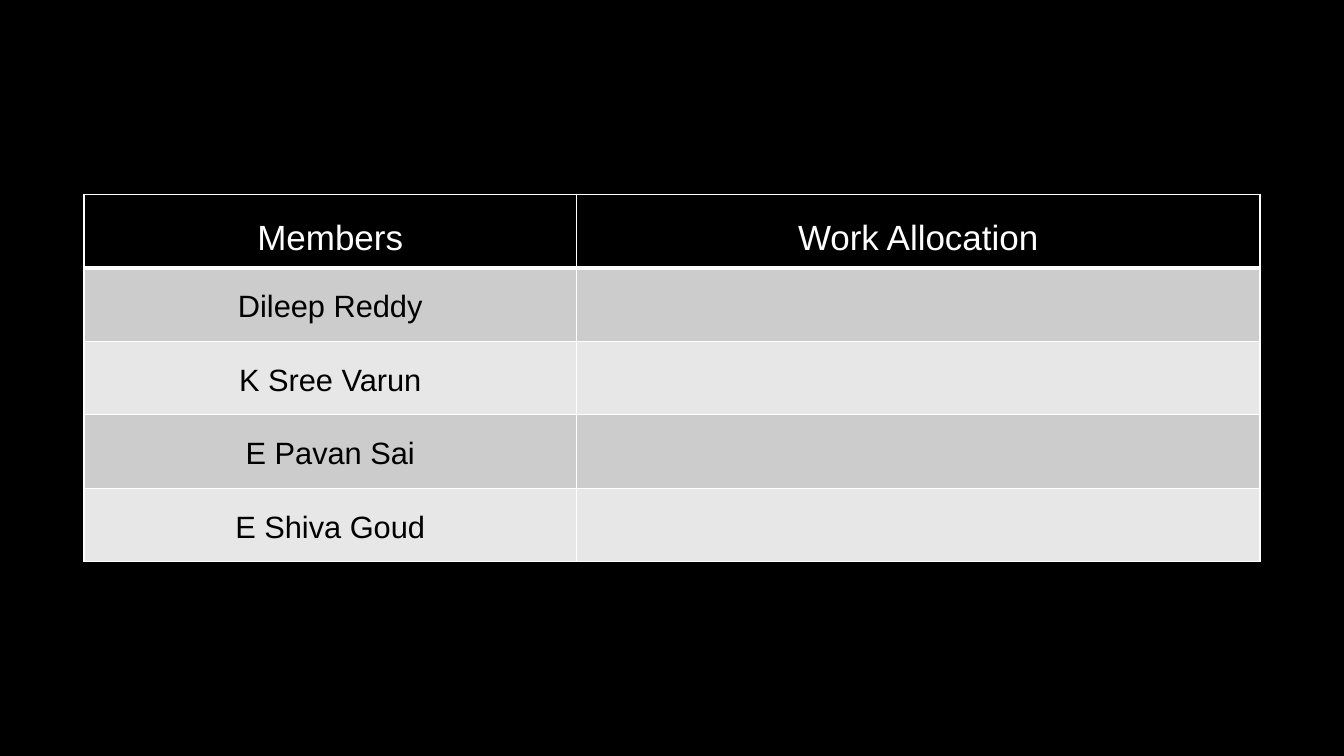
"""Build a slide with a table of project members and their work allocation."""
from dataclasses import dataclass

from lxml import etree
from pptx import Presentation
from pptx import util as u
from pptx.dml.color import RGBColor
from pptx.enum import text
from pptx.oxml import ns
from pptx.table import _Cell

EMU_PER_PX = 9525
WHITE, BLACK = "FFFFFF", "000000"
LEFT, TOP, ROW_HEIGHT = 80, 185, 70
COLUMN_WIDTHS = (469, 651)


@dataclass(frozen=True)
class RowStyle:
    fill: str
    ink: str
    size: int
    bottom_line: int


@dataclass(frozen=True)
class Row:
    member: str
    allocation: str
    style: RowStyle


HEADING = RowStyle(BLACK, WHITE, 25, 3)
DARK_BAND = RowStyle("CCCCCC", BLACK, 22, 1)
LIGHT_BAND = RowStyle("E7E7E7", BLACK, 22, 1)

ROWS = (
    Row("Members", "Work Allocation", HEADING),
    Row("Dileep Reddy", "", DARK_BAND),
    Row("K Sree Varun", "", LIGHT_BAND),
    Row("E Pavan Sai", "", DARK_BAND),
    Row("E Shiva Goud", "", LIGHT_BAND),
)


def px(length: int) -> u.Emu:
    """Turn whole pixels into EMU."""
    return u.Emu(length * EMU_PER_PX)


def paint(fill, colour: str) -> None:
    """Give a fill one solid colour."""
    fill.solid()
    fill.fore_color.rgb = RGBColor.from_string(colour)


def set_borders(cell: _Cell, bottom_line: int) -> None:
    """Draw white lines on all four sides of a cell."""
    properties = cell._tc.get_or_add_tcPr()
    widths = {"lnL": 1, "lnR": 1, "lnT": 1, "lnB": bottom_line}
    for side, points in widths.items():
        line = etree.SubElement(properties, ns.qn(f"a:{side}"), w=str(u.Pt(points)))
        solid = etree.SubElement(line, ns.qn("a:solidFill"))
        etree.SubElement(solid, ns.qn("a:srgbClr"), val=WHITE)


def write_cell(cell: _Cell, wording: str, style: RowStyle) -> None:
    """Fill, frame and letter one cell."""
    set_borders(cell, style.bottom_line)
    paint(cell.fill, style.fill)
    if not wording:
        return
    paragraph = cell.text_frame.paragraphs[0]
    layout = {"alignment": text.PP_ALIGN.CENTER, "line_spacing": 1.5}
    for name, value in layout.items():
        setattr(paragraph, name, value)
    run = paragraph.add_run()
    run.text = wording
    lettering = {"name": "Arial", "size": u.Pt(style.size), "bold": False}
    for name, value in lettering.items():
        setattr(run.font, name, value)
    paint(run.font.fill, style.ink)


def add_allocation(slide) -> None:
    """Add the table of members and their work."""
    allocation = slide.shapes.add_table(
        len(ROWS), len(COLUMN_WIDTHS), px(LEFT), px(TOP),
        px(sum(COLUMN_WIDTHS)), px(ROW_HEIGHT * len(ROWS)),
    ).table
    for flag, value in {"first_row": False, "horz_banding": False}.items():
        setattr(allocation, flag, value)
    for column, width in zip(allocation.columns, COLUMN_WIDTHS):
        column.width = px(width)
    for table_row, row in zip(allocation.rows, ROWS):
        table_row.height = px(ROW_HEIGHT)
        for cell, wording in zip(table_row.cells, (row.member, row.allocation)):
            write_cell(cell, wording, row.style)


def main() -> None:
    """Create the presentation and save it."""
    deck = Presentation()
    deck.slide_width, deck.slide_height = px(1280), px(720)
    slide = deck.slides.add_slide(deck.slide_layouts[6])
    paint(slide.background.fill, BLACK)
    add_allocation(slide)
    deck.save("out.pptx")


if __name__ == "__main__":
    main()
